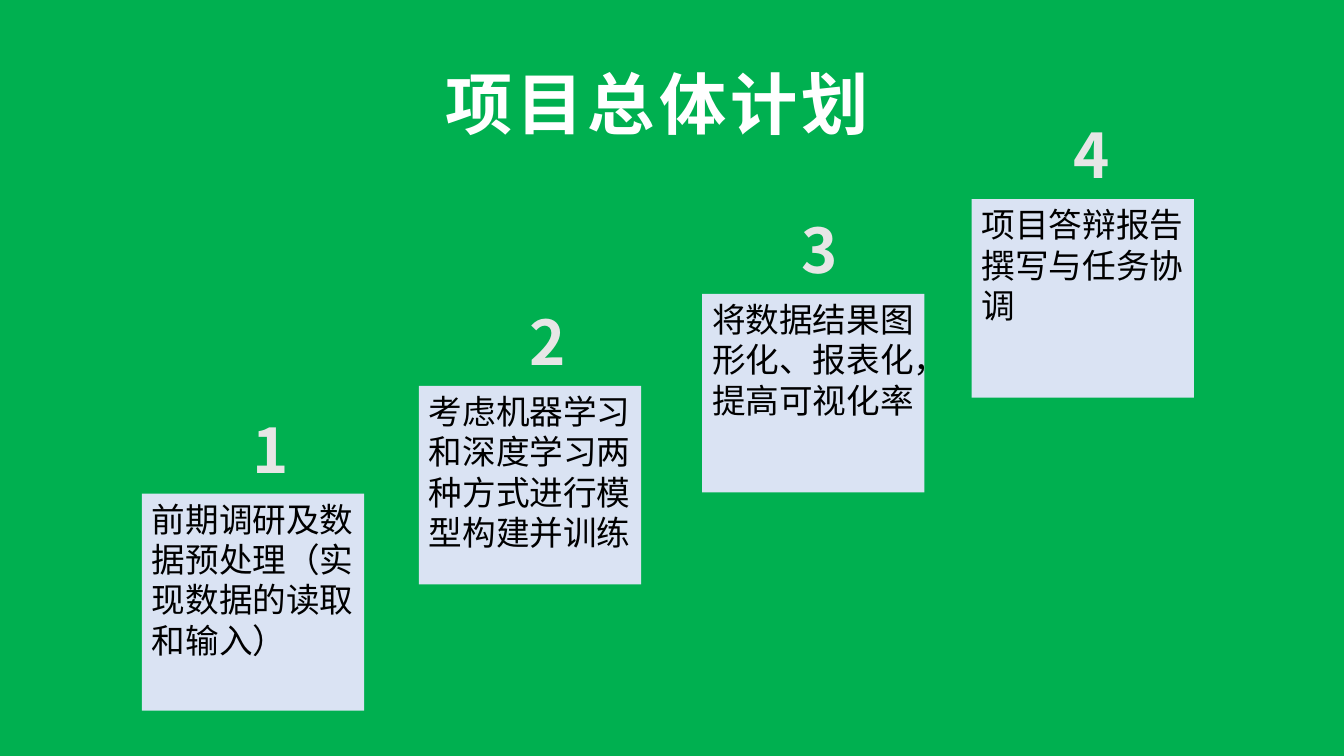
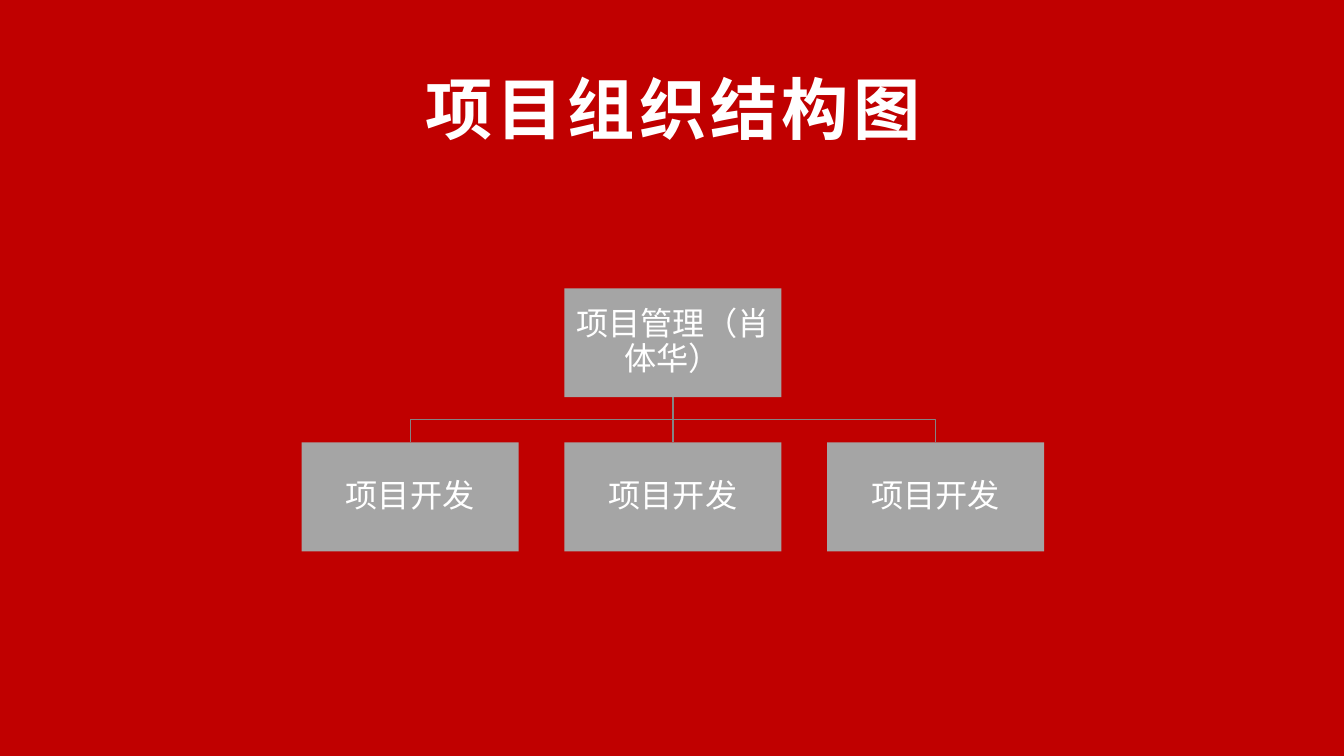
from pptx import Presentation
from pptx.dml.color import RGBColor
from pptx.enum.shapes import MSO_CONNECTOR, MSO_SHAPE
from pptx.enum.text import MSO_ANCHOR, PP_ALIGN
from pptx.oxml.ns import qn
from pptx.util import Inches, Pt
from lxml import etree

RECTANGLE, STRAIGHT = MSO_SHAPE.RECTANGLE, MSO_CONNECTOR.STRAIGHT
LEFT, CENTER = PP_ALIGN.LEFT, PP_ALIGN.CENTER
TOP, MIDDLE, BOTTOM = MSO_ANCHOR.TOP, MSO_ANCHOR.MIDDLE, MSO_ANCHOR.BOTTOM

FONT = "Noto Sans CJK SC"
COLORS = {
    "plan": "00B050", "organisation": "C00000",
    "card": "DAE3F3", "unit": "A5A5A5", "branch": "848484",
    "white": "FFFFFF", "number": "E7E6E6", "black": "000000",
}
RGB = {name: RGBColor.from_string(value) for name, value in COLORS.items()}

# Insets are (sides, top and bottom) in inches.
STYLES = {
    "title": {"fill": None, "color": "white", "inset": (0.1, 0.05), "spacing": 300,
              "frame": {"vertical_anchor": TOP},
              "paragraph": {"alignment": CENTER},
              "font": {"size": Pt(48), "bold": True}},
    "number": {"fill": None, "color": "number", "inset": (0, 0.08), "spacing": 0,
               "frame": {"vertical_anchor": BOTTOM},
               "paragraph": {"alignment": CENTER},
               "font": {"size": Pt(44), "bold": True}},
    "card": {"fill": "card", "color": "black", "inset": (0.1, 0.05), "spacing": 0,
             "frame": {"vertical_anchor": TOP},
             "paragraph": {"alignment": LEFT},
             "font": {"size": Pt(24)}},
    "unit": {"fill": "unit", "color": "white", "inset": (0.02, 0.02), "spacing": 0,
             "frame": {"vertical_anchor": MIDDLE},
             "paragraph": {"alignment": CENTER, "line_spacing": 0.9},
             "font": {"size": Pt(23)}},
}

deck = Presentation()
deck.slide_width, deck.slide_height = Inches(13.33), Inches(7.5)
BLANK = deck.slide_layouts[6]
# All positions are in percent of the slide's width and height.
X, Y = deck.slide_width / 100, deck.slide_height / 100


def add_text_block(slide, text, style_name, left, top, width, height):
    """Add a text box, or a rectangle if the style has a fill."""
    style = STYLES[style_name]
    place = int(left * X), int(top * Y), int(width * X), int(height * Y)
    if style["fill"]:
        block = slide.shapes.add_shape(RECTANGLE, *place)
        block.shadow.inherit = False
        block.fill.solid()
        block.fill.fore_color.rgb = RGB[style["fill"]]
        block.line.fill.background()
    else:
        block = slide.shapes.add_textbox(*place)
    frame = block.text_frame
    frame.word_wrap = True
    frame.margin_left = frame.margin_right = Inches(style["inset"][0])
    frame.margin_top = frame.margin_bottom = Inches(style["inset"][1])
    paragraph = frame.paragraphs[0]
    run = paragraph.add_run()
    run.text = text
    run.font.name = FONT
    run.font.color.rgb = RGB[style["color"]]
    for target, part in ((frame, "frame"), (paragraph, "paragraph"), (run.font, "font")):
        for attribute, value in style[part].items():
            setattr(target, attribute, value)
    properties = run.font._element
    etree.SubElement(properties, qn("a:ea")).set("typeface", FONT)
    if style["spacing"]:
        properties.set("spc", str(style["spacing"]))


def add_titled_slide(title, background, center, top):
    slide = deck.slides.add_slide(BLANK)
    slide.background.fill.solid()
    slide.background.fill.fore_color.rgb = RGB[background]
    width = 44
    add_text_block(slide, title, "title", center - width / 2, top, width, 12.1)
    return slide


# Overall plan: four steps rising to the right
plan = add_titled_slide("项目总体计划", "plan", 48.92, 7.6)
CARD_WIDTH, NUMBER_WIDTH, NUMBER_HEIGHT = 16.54, 5, 12
STEPS = [  # left, top, height, number's centre from the left edge, text
    (10.56, 65.3, 28.7, 9.58, "前期调研及数据预处理（实现数据的读取和输入）"),
    (31.17, 51.05, 26.25, 9.55, "考虑机器学习和深度学习两种方式进行模型构建并训练"),
    (52.25, 38.88, 26.25, 8.75, "将数据结果图形化、报表化，提高可视化率"),
    (72.3, 26.35, 26.25, 8.9, "项目答辩报告撰写与任务协调"),
]
for number, (left, top, height, offset, task) in enumerate(STEPS, start=1):
    add_text_block(plan, str(number), "number", left + offset - NUMBER_WIDTH / 2,
                   top - NUMBER_HEIGHT, NUMBER_WIDTH, NUMBER_HEIGHT)
    add_text_block(plan, task, "card", left, top, CARD_WIDTH, height)

# Organisation chart: one manager above three developers
organisation = add_titled_slide("项目组织结构图", "organisation", 50.08, 8.3)
UNIT_WIDTH, UNIT_HEIGHT = 16.14, 14.4
COLUMN_PITCH, ROW_GAP = 19.55, 6
MANAGER_TOP, MIDDLE_COLUMN = 38.13, 50.07
manager_bottom = MANAGER_TOP + UNIT_HEIGHT
bar = manager_bottom + ROW_GAP / 2
team_top = manager_bottom + ROW_GAP
columns = [MIDDLE_COLUMN + step * COLUMN_PITCH for step in (-1, 0, 1)]

trunk_ends = [int(value) for value in (MIDDLE_COLUMN * X, manager_bottom * Y,
                                       MIDDLE_COLUMN * X, team_top * Y)]
branches = [organisation.shapes.add_connector(STRAIGHT, *trunk_ends)]
etree.SubElement(branches[0]._element.spPr, qn("a:effectLst"))
for column in (columns[0], columns[-1]):
    outline = organisation.shapes.build_freeform(
        int(MIDDLE_COLUMN * X), int(manager_bottom * Y))
    corners = [(MIDDLE_COLUMN, bar), (column, bar), (column, team_top)]
    outline.add_line_segments([(int(x * X), int(y * Y)) for x, y in corners], close=False)
    elbow = outline.convert_to_shape()
    elbow.shadow.inherit = False
    elbow.fill.background()
    branches.append(elbow)
for branch in branches:
    branch.line.color.rgb = RGB["branch"]
    branch.line.width = Pt(1)

units = [("项目管理（肖体华）", MIDDLE_COLUMN, MANAGER_TOP)]
units += [("项目开发", column, team_top) for column in columns]
for role, center, top in units:
    add_text_block(organisation, role, "unit", center - UNIT_WIDTH / 2, top,
                   UNIT_WIDTH, UNIT_HEIGHT)

deck.save("out.pptx")
